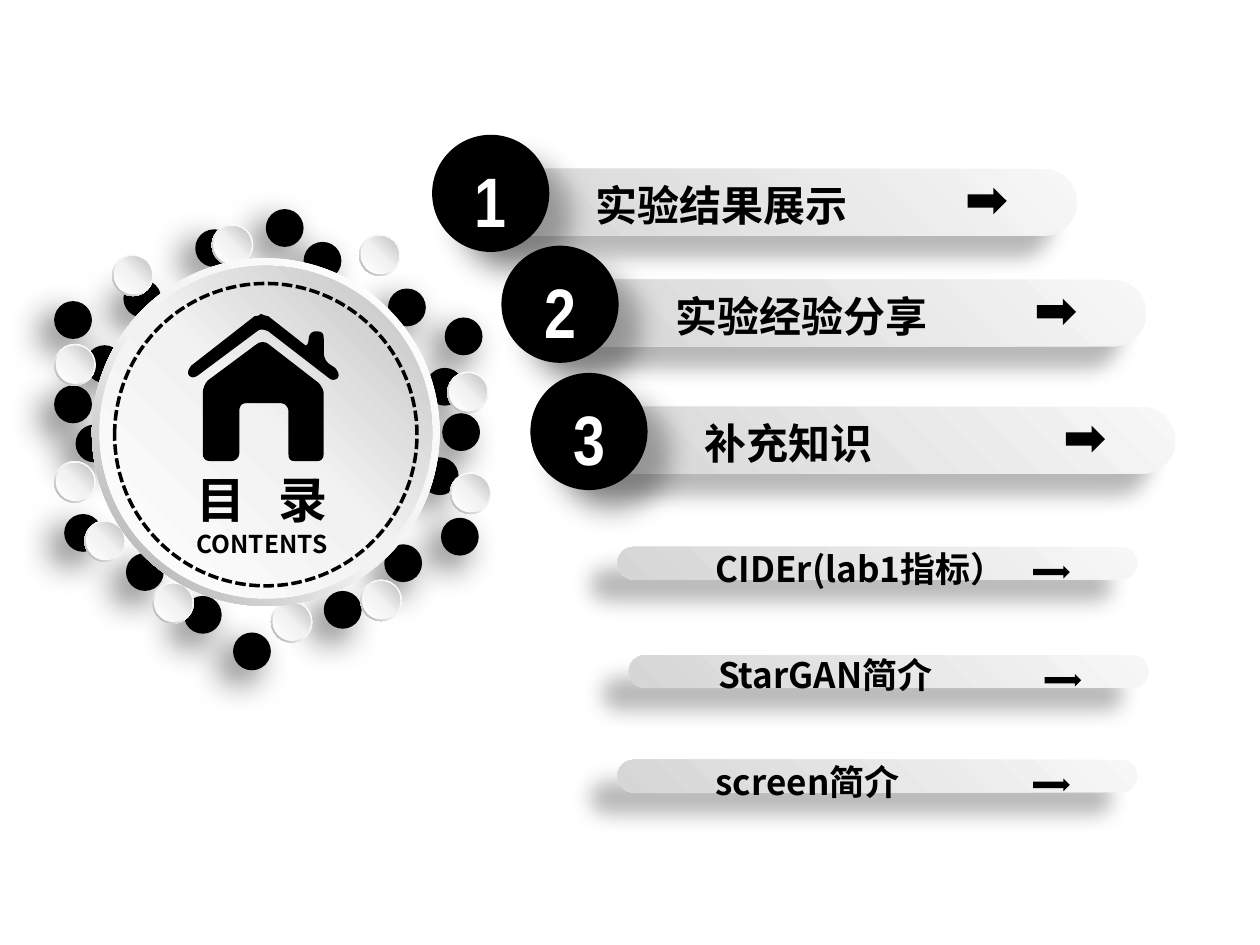
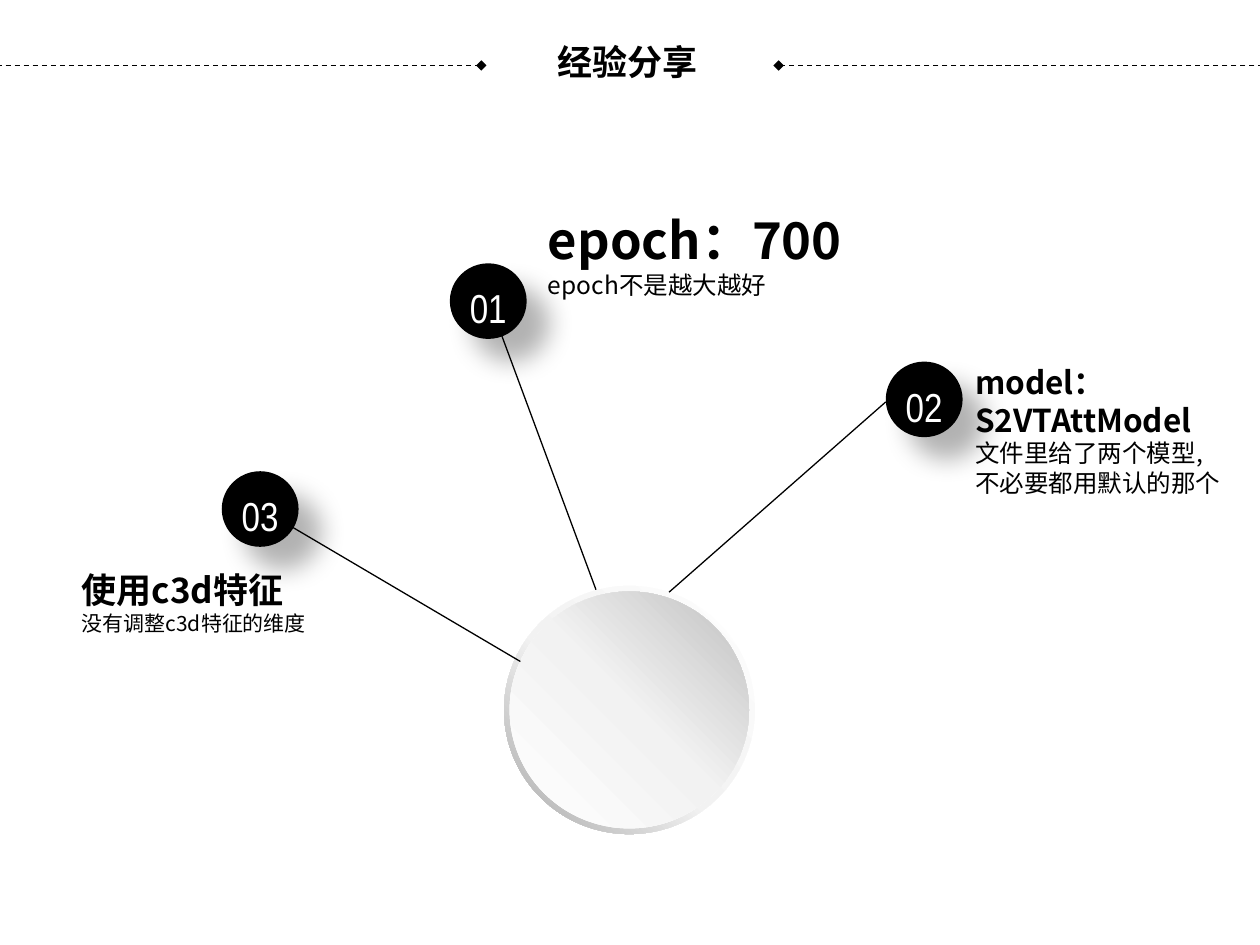
from lxml import etree
from pptx import Presentation
from pptx.dml.color import RGBColor
from pptx.enum.dml import MSO_LINE
from pptx.enum.shapes import MSO_CONNECTOR, MSO_SHAPE
from pptx.enum.text import MSO_ANCHOR, PP_ALIGN
from pptx.oxml.ns import qn
from pptx.util import Inches, Pt

ELLIPSE, DONUT = MSO_SHAPE.OVAL, MSO_SHAPE.DONUT
BAR, ARROW = MSO_SHAPE.ROUNDED_RECTANGLE, MSO_SHAPE.RIGHT_ARROW
STRAIGHT = MSO_CONNECTOR.STRAIGHT
DASH, SHORT_DASH = MSO_LINE.DASH, MSO_LINE.SQUARE_DOT
TOP, MIDDLE = MSO_ANCHOR.TOP, MSO_ANCHOR.MIDDLE
LEFT, CENTER = PP_ALIGN.LEFT, PP_ALIGN.CENTER

BLACK = RGBColor(0x00, 0x00, 0x00)
WHITE = RGBColor(0xFF, 0xFF, 0xFF)
PALE = RGBColor(0xF2, 0xF2, 0xF2)
SILVER = RGBColor(0xBF, 0xBF, 0xBF)
GRAY = RGBColor(0xA6, 0xA6, 0xA6)
BAR_DARK = RGBColor(0xD6, 0xD6, 0xD6)
BAR_LIGHT = RGBColor(0xF7, 0xF7, 0xF7)
RIM = [(0, WHITE), (55, PALE), (100, GRAY)]
FACE = [(0, WHITE), (51, PALE), (100, SILVER)]
BAR_STOPS = [(0, BAR_DARK), (100, BAR_LIGHT)]

DOT_SHADOW = (60, 20, 10, 135)
BADGE_SHADOW = (30, 15, 18, 45)
BAR_SHADOW = (28, 11.8, 19.7, 141)

SANS, NARROW = "Noto Sans CJK SC", "Arial Narrow"
HEADING = {"name": SANS, "size": Pt(24), "bold": True}
SUBHEADING = {"name": SANS, "size": Pt(20), "bold": True}
NUMBER = {"name": NARROW, "size": Pt(40), "bold": True}
BADGE_NUMBER = {"name": NARROW, "size": Pt(23.1), "bold": False}

BLACK_DOTS = [
    (1.85, 5.02), (1.46, 4.73), (1.55, 1.82), (0.98, 2.22), (0.43, 2.39),
    (0.68, 2.74), (0.43, 3.06), (0.6, 3.37), (0.51, 4.08), (1, 4.39),
    (3.05, 4.32), (3.34, 3.63), (3.5, 4.11), (3.51, 3.28), (3.38, 2.92),
    (3.08, 2.29), (3.53, 2.52), (2.41, 1.92), (2.11, 1.66), (2.57, 4.69),
]
PEARLS = [
    (1.21, 4.62), (0.67, 4.13), (0.43, 3.66), (0.43, 2.73), (0.89, 2.02),
    (1.68, 1.78), (2.85, 1.86), (3.55, 2.95), (3.57, 3.75), (2.86, 4.6),
    (2.15, 4.77),
]
CHAPTERS = [
    ("1", "实验结果展示", 3.98, 1.34, 0.33),
    ("2", "实验经验分享", 4.53, 2.22, 0.41),
    ("3", "补充知识", 4.76, 3.23, 0.41),
]
EXTRAS = [
    ("CIDEr(lab1指标）", 4.9, 4.34, (5.27, 4.46), (0.41, 0, 0.1, 0.15)),
    ("StarGAN简介", 4.99, 5.2, (5.38, 5.2), (0.32, 0.05, 0.1, 0)),
    ("screen简介", 4.9, 6.03, (5.27, 6.15), (0.41, 0, 0.1, 0.15)),
]
HOUSE_WALLS = [
    (2.13, 2.73), (2.11, 2.71, 2.06, 2.71, 2.04, 2.73), (1.65, 3.02),
    (1.63, 3.04, 1.61, 3.08, 1.61, 3.12), (1.61, 3.6),
    (1.61, 3.64, 1.63, 3.66, 1.67, 3.66), (1.84, 3.66),
    (1.86, 3.66, 1.9, 3.64, 1.9, 3.6), (1.9, 3.26),
    (1.9, 3.24, 1.91, 3.2, 1.95, 3.2), (2.23, 3.2),
    (2.27, 3.2, 2.29, 3.24, 2.29, 3.26), (2.29, 3.6),
    (2.29, 3.64, 2.3, 3.66, 2.34, 3.66), (2.52, 3.66),
    (2.55, 3.66, 2.57, 3.64, 2.57, 3.6), (2.57, 3.12),
    (2.57, 3.1, 2.55, 3.06, 2.53, 3.04),
]
HOUSE_ROOF = [
    (2.63, 2.9), (2.59, 2.88, 2.57, 2.84, 2.57, 2.8), (2.57, 2.69),
    (2.57, 2.65, 2.56, 2.63, 2.52, 2.63), (2.5, 2.63),
    (2.48, 2.63, 2.45, 2.65, 2.45, 2.69),
    (2.45, 2.73, 2.43, 2.76, 2.41, 2.73), (2.13, 2.51),
    (2.11, 2.51, 2.07, 2.49, 2.07, 2.49),
    (2.07, 2.49, 2.06, 2.51, 2.02, 2.51), (1.52, 2.9),
    (1.5, 2.92, 1.48, 2.96, 1.5, 2.98), (1.52, 3, 1.54, 3, 1.57, 2.98),
    (2.04, 2.63), (2.06, 2.61, 2.09, 2.61, 2.13, 2.63), (2.61, 3),
    (2.63, 3.02, 2.66, 3.02, 2.68, 3), (2.7, 2.98, 2.68, 2.94, 2.66, 2.92),
]
TIPS = [
    ("01", (3.57, 2.09), (4.25, 1.61, 2.7, 0.88), 29, "epoch：700",
     14, ["epoch不是越大越好"]),
    ("02", (7.03, 2.87), (7.64, 2.83, 2.35, 1.75), 18, "model：S2VTAttModel",
     14, ["文件里给了两个模型,", "不必要都用默认的那个"]),
    ("03", (1.76, 3.74), (0.55, 4.46, 1.98, 0.31), 20, "使用c3d特征",
     12, ["没有调整c3d特征的维度"]),
]
SPOKES = [
    ((3.97, 2.63), (4.73, 4.68)),
    ((5.31, 4.7), (7.03, 3.19)),
    ((2.28, 4.16), (4.13, 5.25)),
]


def add_color(parent, color, opacity=100):
    node = etree.SubElement(parent, qn("a:srgbClr"), val=str(color))
    if opacity < 100:
        etree.SubElement(node, qn("a:alpha"), val=str(opacity * 1000))


def set_gradient(shape, stops, angle=None):
    gradient = etree.Element(qn("a:gradFill"), rotWithShape="1")
    stop_list = etree.SubElement(gradient, qn("a:gsLst"))
    for position, color in stops:
        add_color(etree.SubElement(stop_list, qn("a:gs"), pos=str(position * 1000)), color)
    if angle is None:
        circle = etree.SubElement(gradient, qn("a:path"), path="circle")
        etree.SubElement(circle, qn("a:fillToRect"), t="100000", r="100000")
    else:
        etree.SubElement(gradient, qn("a:lin"), ang=str(angle * 60000), scaled="0")
    properties = shape.element.spPr
    properties.replace(properties.find(qn("a:solidFill")), gradient)


def set_shadow(shape, opacity, blur, distance, direction):
    effects = shape.element.spPr.find(qn("a:effectLst"))
    shadow = etree.SubElement(
        effects, qn("a:outerShdw"), blurRad=str(Pt(blur)), dist=str(Pt(distance)),
        dir=str(direction * 60000), algn="ctr", rotWithShape="0")
    add_color(shadow, BLACK, opacity)


def paint(shape):
    shape.shadow.inherit = False
    shape.fill.solid()
    shape.fill.fore_color.rgb = BLACK
    shape.line.fill.background()


def add_part(parent, kind, left, top, width, height, shadow=None, adjustment=None):
    shape = parent.shapes.add_shape(kind, Inches(left), Inches(top), Inches(width), Inches(height))
    paint(shape)
    if adjustment is not None:
        shape.adjustments[0] = adjustment
    if shadow:
        set_shadow(shape, *shadow)
    return shape


def add_disc(slide, left, top, width, height, inset):
    disc = slide.shapes.add_group_shape()
    rim = add_part(disc, DONUT, left, top, width, height, adjustment=0.049)
    set_gradient(rim, RIM, 135)
    face = add_part(disc, ELLIPSE, left + inset, top + inset, width - 2 * inset, height - 2 * inset)
    set_gradient(face, FACE, 315)


def add_bar(slide, left, top, width, height):
    bar = add_part(slide, BAR, left, top, width, height, BAR_SHADOW, 0.5)
    set_gradient(bar, BAR_STOPS)


def add_text(slide, box, lines, anchor=TOP, align=LEFT, color=BLACK, margins=(0.1, 0.05, 0.1, 0.05)):
    frame = slide.shapes.add_textbox(*map(Inches, box)).text_frame
    settings = {"word_wrap": True, "vertical_anchor": anchor}
    for side, margin in zip(("left", "top", "right", "bottom"), margins):
        settings["margin_" + side] = Inches(margin)
    for name, value in settings.items():
        setattr(frame, name, value)
    for index, (text, font) in enumerate(lines):
        paragraph = frame.add_paragraph() if index else frame.paragraphs[0]
        paragraph.alignment = align
        run = paragraph.add_run()
        run.text = text
        for name, value in font.items():
            setattr(run.font, name, value)
        run.font.color.rgb = color
        etree.SubElement(run.font._element, qn("a:ea"), typeface=font["name"])
    return frame


def add_line(slide, start, end, dash=None, diamond=False):
    line = slide.shapes.add_connector(STRAIGHT, *map(Inches, (*start, *end)))
    line.line.color.rgb = BLACK
    line.line.width = Pt(0.75)
    if dash:
        line.line.dash_style = dash
    if diamond:
        etree.SubElement(line.line._get_or_add_ln(), qn("a:tailEnd"), type="diamond")
    etree.SubElement(line.element.spPr, qn("a:effectLst"))


def add_outline(parent, outline):
    first, *rest = [tuple(map(Inches, segment[-2:])) for segment in outline]
    builder = parent.shapes.build_freeform(*first)
    builder.add_line_segments(rest, close=True)
    shape = builder.convert_to_shape()
    paint(shape)
    steps = list(shape.element.iter(qn("a:lnTo")))
    for segment, step in zip(outline[1:], steps):
        if len(segment) == 6:
            curve = etree.Element(qn("a:cubicBezTo"))
            for x, y in zip(segment[::2], segment[1::2]):
                etree.SubElement(curve, qn("a:pt"), x=str(Inches(x) - shape.left), y=str(Inches(y) - shape.top))
            step.getparent().replace(step, curve)


def build_contents(slide):
    for left, top in BLACK_DOTS:
        add_part(slide, ELLIPSE, left, top, 0.3, 0.3, DOT_SHADOW)
    for left, top in PEARLS:
        add_disc(slide, left, top, 0.33, 0.33, 0.015)
    add_disc(slide, 0.73, 2.05, 2.76, 2.76, 0.06)
    house = slide.shapes.add_group_shape()
    for outline in (HOUSE_WALLS, HOUSE_ROOF):
        add_outline(house, outline)
    frame = add_text(slide, (1.46, 3.74, 1.48, 0.92), [
        ("目 录", {**HEADING, "size": Pt(28)}), ("CONTENTS", {**HEADING, "size": Pt(14)})],
        MIDDLE, margins=(0.1, 0.05, 0.1, 0.29))
    frame.paragraphs[0].runs[0].font._element.set("spc", "630")
    ring = add_part(slide, ELLIPSE, 0.91, 2.25, 2.4, 2.4)
    ring.fill.background()
    ring.line.color.rgb = BLACK
    ring.line.width = Pt(2)
    ring.line.dash_style = SHORT_DASH

    for number, title, left, top, indent in CHAPTERS:
        add_bar(slide, left, top, 4.57, 0.53)
        add_part(slide, ELLIPSE, left - 0.55, top - 0.27, 0.93, 0.93, BADGE_SHADOW)
        add_text(slide, (left - 0.4, top + 0.14, 0.63, 0.54), [(number, NUMBER)],
                 MIDDLE, CENTER, WHITE, (0.1, 0, 0.1, 0.33))
        add_text(slide, (left + 0.42, top + 0.13, 3.94, 0.52), [(title, HEADING)],
                 MIDDLE, margins=(indent, 0, 0.1, 0.21))
        add_part(slide, ARROW, left + 3.7, top + 0.15, 0.31, 0.21)
    for title, left, top, text_place, margins in EXTRAS:
        add_bar(slide, left, top, 4.13, 0.26)
        add_text(slide, (*text_place, 3.56, 0.26), [(title, SUBHEADING)], MIDDLE, margins=margins)
        add_part(slide, ARROW, left + 3.3, top + 0.15, 0.29, 0.1)


def build_experience(slide):
    for start, end in ((-1.46, 3.82), (11.46, 6.18)):
        add_line(slide, (start, 0.52), (end, 0.52), DASH, True)
    add_text(slide, (3.66, 0.24, 2.52, 0.52), [("经验分享", SUBHEADING)], MIDDLE, CENTER,
             margins=(0.22, 0.04, 0.1, 0.06))
    add_disc(slide, 4, 4.65, 1.99, 1.97, 0.045)
    for start, end in SPOKES:
        add_line(slide, start, end)
    for number, (left, top), box, title_size, heading, note_size, notes in TIPS:
        add_part(slide, ELLIPSE, left, top, 0.61, 0.6, BADGE_SHADOW)
        add_text(slide, (left, top + 0.11, 0.61, 0.42), [(number, BADGE_NUMBER)], align=CENTER, color=WHITE)
        note_font = {"name": SANS, "size": Pt(note_size), "bold": False}
        add_text(slide, box, [(heading, {**HEADING, "size": Pt(title_size)})]
                 + [(note, note_font) for note in notes])


def main():
    presentation = Presentation()
    presentation.slide_width = Inches(10)
    presentation.slide_height = Inches(7.5)
    blank = presentation.slide_layouts[6]
    for build in (build_contents, build_experience):
        build(presentation.slides.add_slide(blank))
    presentation.save("out.pptx")


if __name__ == "__main__":
    main()
